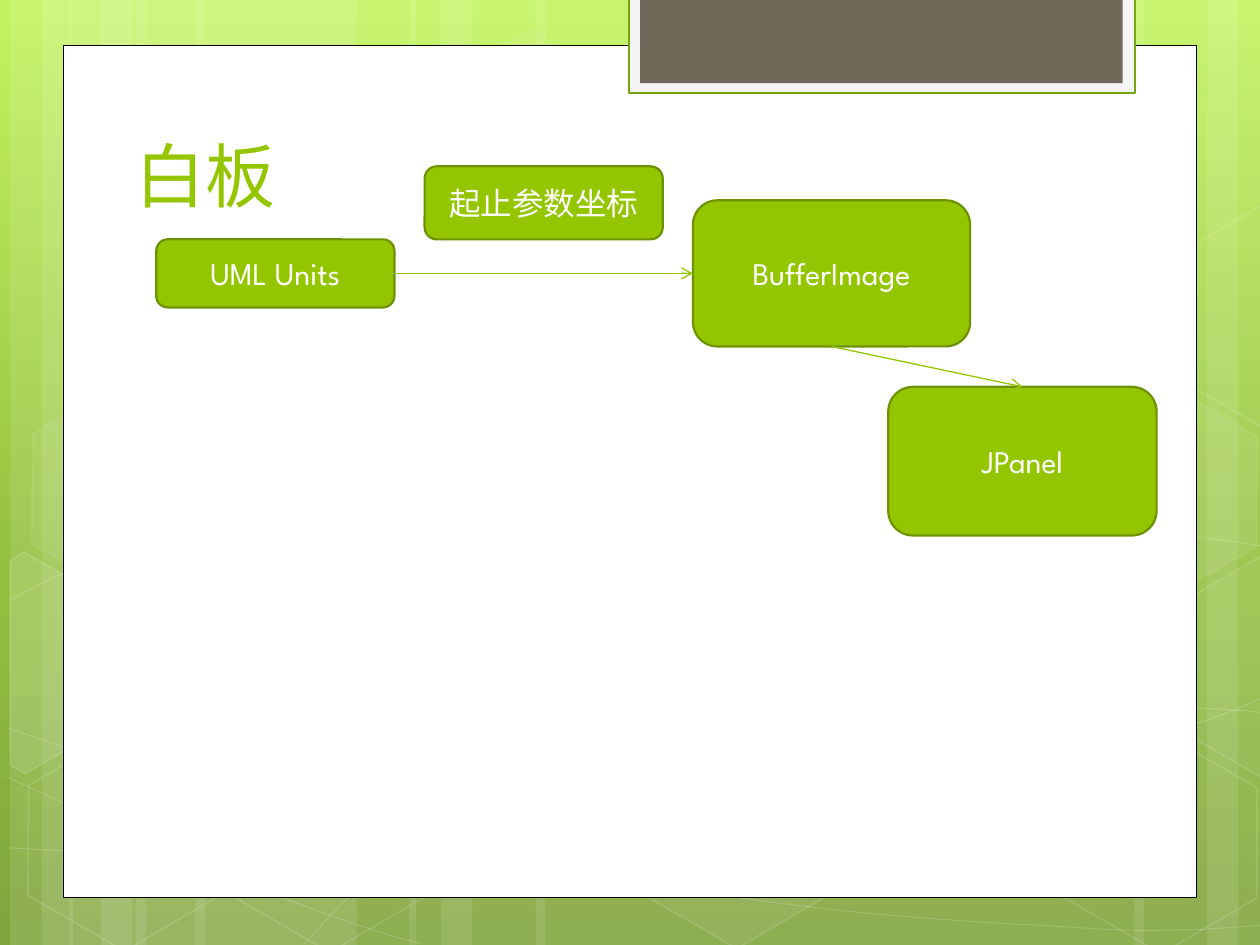
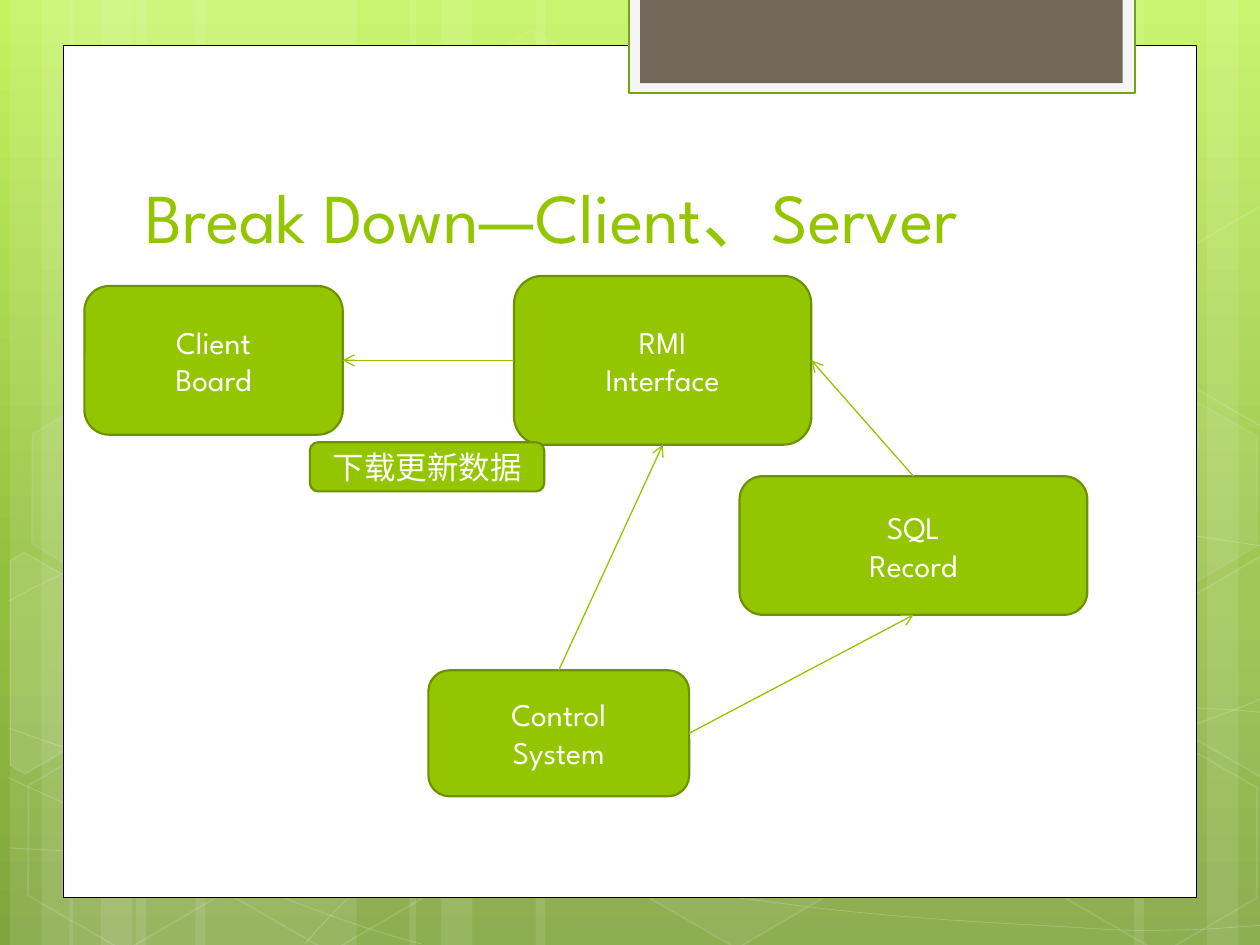
import math
from copy import deepcopy
from dataclasses import dataclass

from lxml import etree
from pptx import Presentation
from pptx import util as u
from pptx.dml.color import RGBColor
from pptx.enum import shapes, text
from pptx.oxml.ns import qn

COLS, ROWS = 10, 7.5
CELL = u.Inches(1)
TILT = 30  # degrees, shared by all hexagons
TOP, LEFT, BOTTOM, RIGHT = range(4)  # connection sites of a box


@dataclass(frozen=True)
class Theme:
    font: str = "League Spartan"
    title_size: int = 40
    box_size: int = 18
    green: str = "94C600"
    box_edge: str = "6D9200"
    tab_edge: str = "74A510"
    tab_rim: str = "F5F5F5"
    tab: str = "71685A"
    white: str = "FFFFFF"
    black: str = "000000"
    backdrop: tuple = ((0, "C3F35F"), (0.62, "93BF3F"), (1, "81A53E"))


T = Theme()

# left column, width
STRIPES = [(1.08, 1.75), (0.08, 0.5), (0.33, 0.83), (1.55, 1.75), (0.55, 0.5),
           (0.8, 0.83), (7.33, 1.75), (9.58, 0.5), (9, 0.83), (4.25, 3.08),
           (3.25, 0.5), (3.5, 0.83)]

# start point, then two control points and an end point for each bend
WAVES = [
    [(0.07, 6.73), (0.61, 6.76), (1.15, 6.79), (1.9, 6.78), (2.65, 6.77), (3.58, 6.75),
     (4.58, 6.65), (5.58, 6.55), (7, 6.36), (7.92, 6.17), (8.83, 5.98), (9.77, 5.68),
     (10.07, 5.51)],
    [(0.07, 4.77), (0.36, 4.61), (0.65, 4.46), (1.21, 4.31), (1.78, 4.16), (2.59, 3.94),
     (3.47, 3.87), (4.36, 3.8), (5.44, 3.79), (6.54, 3.87), (7.64, 3.95), (9.47, 4.26),
     (10.07, 4.34)],
    [(0.06, 6.17), (1.27, 6.72), (2.47, 7.27), (3.34, 7.49)],
    [(0.07, 5.78), (0.38, 5.89), (0.7, 6), (1.28, 6.16), (1.86, 6.31), (2.73, 6.56),
     (3.57, 6.73), (4.4, 6.9), (5.45, 7.08), (6.28, 7.18), (7.11, 7.29), (8, 7.33),
     (8.53, 7.36), (9.05, 7.4), (9.19, 7.38), (9.45, 7.38), (9.71, 7.37), (9.89, 7.35),
     (10.07, 7.34)],
    [(2.42, 7.49), (2.6, 7.29), (2.78, 7.09), (3.02, 6.91), (3.26, 6.73), (3.6, 6.53),
     (3.88, 6.39), (4.16, 6.25), (4.33, 6.19), (4.7, 6.09), (5.06, 5.99), (5.73, 5.85),
     (6.08, 5.78), (6.44, 5.71), (6.49, 5.71), (6.8, 5.69), (7.11, 5.66), (7.6, 5.63),
     (7.94, 5.62), (8.29, 5.61), (8.86, 5.62), (8.86, 5.62), (8.86, 5.62), (9.53, 5.62),
     (9.53, 5.62), (9.71, 5.63), (9.88, 5.64), (9.97, 5.65), (10.06, 5.66), (10.03, 5.65),
     (10.06, 5.66)],
]

# left, top, fill opacity, line opacity
HEXAGONS = [(3.34, 0.36, 0.04, 0.08), (4.97, 5.89, 0.06, 0.12), (0.11, 5.91, 0, 0.12),
            (0.14, 3.12, 0.07, 0.08), (1.74, 5.92, 0, 0.12), (8.34, 5.93, 0, 0.12),
            (8.34, 3.14, 0.07, 0.08)]

# centre, corners as they show, fill opacity
CUT_HEXAGONS = [
    ((0.36, 5.35), [(0.08, 4.45), (0.19, 4.38), (0.96, 4.82), (0.95, 5.7), (0.2, 6.14),
                    (0.08, 6.07)], 0.1),
    ((9.85, 5.2), [(9.26, 4.85), (10.01, 4.41), (10.09, 4.46), (10.09, 6.13),
                   (10.02, 6.17), (9.26, 5.73)], 0.04),
    ((9.85, 2.41), [(9.26, 2.07), (10.01, 1.63), (10.1, 1.68), (10.09, 3.35),
                    (10.02, 3.39), (9.26, 2.95)], 0),
]


def cells(*numbers):
    return [u.Emu(round(n * CELL)) for n in numbers]


def fade(parent, opacity):
    """Make the solid fill inside a shape or line element see-through."""
    if opacity < 1:
        clr = parent.find(qn("a:solidFill")).find(qn("a:srgbClr"))
        etree.SubElement(clr, qn("a:alpha"), val=str(round(opacity * 100000)))


def paint(sp, fill=None, line=None, width=1.0, fill_opacity=1, line_opacity=1):
    sp.shadow.inherit = False
    spPr = sp.element.spPr
    if fill and fill_opacity:
        sp.fill.solid()
        sp.fill.fore_color.rgb = RGBColor.from_string(fill)
        fade(spPr, fill_opacity)
    else:
        sp.fill.background()
    if line:
        sp.line.color.rgb = RGBColor.from_string(line)
        sp.line.width = u.Pt(width)
        fade(spPr.find(qn("a:ln")), line_opacity)
    else:
        sp.line.fill.background()
    return sp


def add_preset(s, preset, at, **look):
    return paint(s.shapes.add_shape(preset, *cells(*at)), **look)


def add_outline(s, points, close, **look):
    start, *rest = [cells(*p) for p in points]
    builder = s.shapes.build_freeform(*start)
    builder.add_line_segments(rest, close=close)
    return paint(builder.convert_to_shape(), **look)


def add_wave(s, points):
    """Outline through the end points, its lines then bent into Bezier curves."""
    sp = add_outline(s, points[::3], False, line=T.white, width=0.5, line_opacity=0.2)
    for i, segment in enumerate(list(sp.element.iter(qn("a:lnTo")))):
        bend = etree.Element(qn("a:cubicBezTo"))
        for x, y in (cells(*p) for p in points[3 * i + 1:3 * i + 4]):
            etree.SubElement(bend, qn("a:pt"), x=str(x - sp.left), y=str(y - sp.top))
        segment.getparent().replace(segment, bend)


def turn(point, centre, degrees):
    a = math.radians(degrees)
    dx, dy = point[0] - centre[0], point[1] - centre[1]
    return (centre[0] + dx * math.cos(a) - dy * math.sin(a),
            centre[1] + dx * math.sin(a) + dy * math.cos(a))


def write(sp, content, size, color, align=text.PP_ALIGN.LEFT,
          anchor=text.MSO_ANCHOR.MIDDLE):
    tf = sp.text_frame
    tf.word_wrap = True
    tf.vertical_anchor = anchor
    for i, line in enumerate(content.split("\n")):
        p = tf.add_paragraph() if i else tf.paragraphs[0]
        p.alignment = align
        r = p.add_run()
        r.text = line
        r.font.name = T.font
        r.font.size = u.Pt(size)
        r.font.color.rgb = RGBColor.from_string(color)


def add_backdrop(s):
    fill = s.background.fill
    fill.gradient()
    fill.gradient_angle = 270
    stops = s.element.find(".//" + qn("a:gsLst"))
    stops.append(deepcopy(stops[0]))
    for stop, (position, color) in zip(fill.gradient_stops, T.backdrop):
        stop.position = position
        stop.color.rgb = RGBColor.from_string(color)

    for left, width in STRIPES:
        add_preset(s, shapes.MSO_SHAPE.RECTANGLE, (left, 0, width, ROWS),
                   fill=T.white, fill_opacity=0.1)
    for wave in WAVES:
        add_wave(s, wave)
    for left, top, fill_opacity, line_opacity in HEXAGONS:
        sp = add_preset(s, shapes.MSO_SHAPE.HEXAGON, (left, top, 1.75, 1.52),
                        fill=T.white, fill_opacity=fill_opacity,
                        line=T.white, line_opacity=line_opacity)
        sp.adjustments[0] = 0.285
        sp.rotation = TILT
    for centre, corners, fill_opacity in CUT_HEXAGONS:
        level = [turn(corner, centre, -TILT) for corner in corners]
        sp = add_outline(s, level, True, fill=T.white, fill_opacity=fill_opacity,
                         line=T.white, line_opacity=0.12)
        sp.rotation = TILT


def add_page(s):
    """White sheet with the tab hanging over its top edge."""
    rect = shapes.MSO_SHAPE.RECTANGLE
    add_preset(s, rect, (0.5, 0.36, COLS - 1, 6.76), fill=T.white, line=T.black, width=0.5)
    add_preset(s, rect, (4.99, -0.02, 4.02, 0.76), fill=T.tab_rim, line=T.tab_edge, width=1.25)
    add_preset(s, rect, (5.08, -0.02, 3.83, 0.68), fill=T.tab)


def add_title(s, content, at):
    write(s.shapes.add_textbox(*cells(*at)), content, T.title_size, T.green,
          anchor=text.MSO_ANCHOR.BOTTOM)


def add_box(s, label, at):
    sp = add_preset(s, shapes.MSO_SHAPE.ROUNDED_RECTANGLE, at,
                    fill=T.green, line=T.box_edge, width=1.25)
    write(sp, label, T.box_size, T.white, align=text.PP_ALIGN.CENTER)
    return sp


def add_arrow(s, source, source_site, target, target_site):
    c = s.shapes.add_connector(shapes.MSO_CONNECTOR.STRAIGHT, 0, 0, 0, 0)
    c.begin_connect(source, source_site)
    c.end_connect(target, target_site)
    c.line.color.rgb = RGBColor.from_string(T.green)
    c.line.width = u.Pt(0.75)
    spPr = c.element.spPr
    etree.SubElement(spPr.find(qn("a:ln")), qn("a:tailEnd"), type="arrow")
    etree.SubElement(spPr, qn("a:effectLst"))


def add_diagram(prs, title, title_at, boxes, arrows):
    """One slide: boxes map a label to its place, arrows join labels by site."""
    s = prs.slides.add_slide(prs.slide_layouts[6])
    add_backdrop(s)
    add_page(s)
    add_title(s, title, title_at)
    nodes = {label: add_box(s, label, at) for label, at in boxes.items()}
    for source, source_site, target, target_site in arrows:
        add_arrow(s, nodes[source], source_site, nodes[target], target_site)


def main():
    prs = Presentation()
    prs.slide_width, prs.slide_height = cells(COLS, ROWS)

    add_diagram(
        prs, "白板", (0.98, 0.52, 7.68, 1.25),
        {"BufferImage": (5.5, 1.59, 2.2, 1.16),
         "UML Units": (1.24, 1.9, 1.89, 0.54),
         "起止参数坐标": (3.37, 1.32, 1.89, 0.58),
         "JPanel": (7.05, 3.07, 2.13, 1.18)},
        [("UML Units", RIGHT, "BufferImage", LEFT),
         ("BufferImage", BOTTOM, "JPanel", TOP)])

    rmi, sql = "RMI\nInterface", "SQL\nRecord"
    client, control = "Client\nBoard", "Control\nSystem"
    add_diagram(
        prs, "Break Down—Client、Server", (1.06, 0.84, 8.03, 1.25),
        {rmi: (4.08, 2.19, 2.36, 1.34),
         sql: (5.87, 3.78, 2.76, 1.1),
         "下载更新数据": (2.46, 3.51, 1.86, 0.39),
         client: (0.67, 2.27, 2.05, 1.18),
         control: (3.4, 5.32, 2.07, 1)},
        [(sql, TOP, rmi, RIGHT),
         (rmi, LEFT, client, RIGHT),
         (control, RIGHT, sql, BOTTOM),
         (control, TOP, rmi, BOTTOM)])

    prs.save("out.pptx")


if __name__ == "__main__":
    main()
